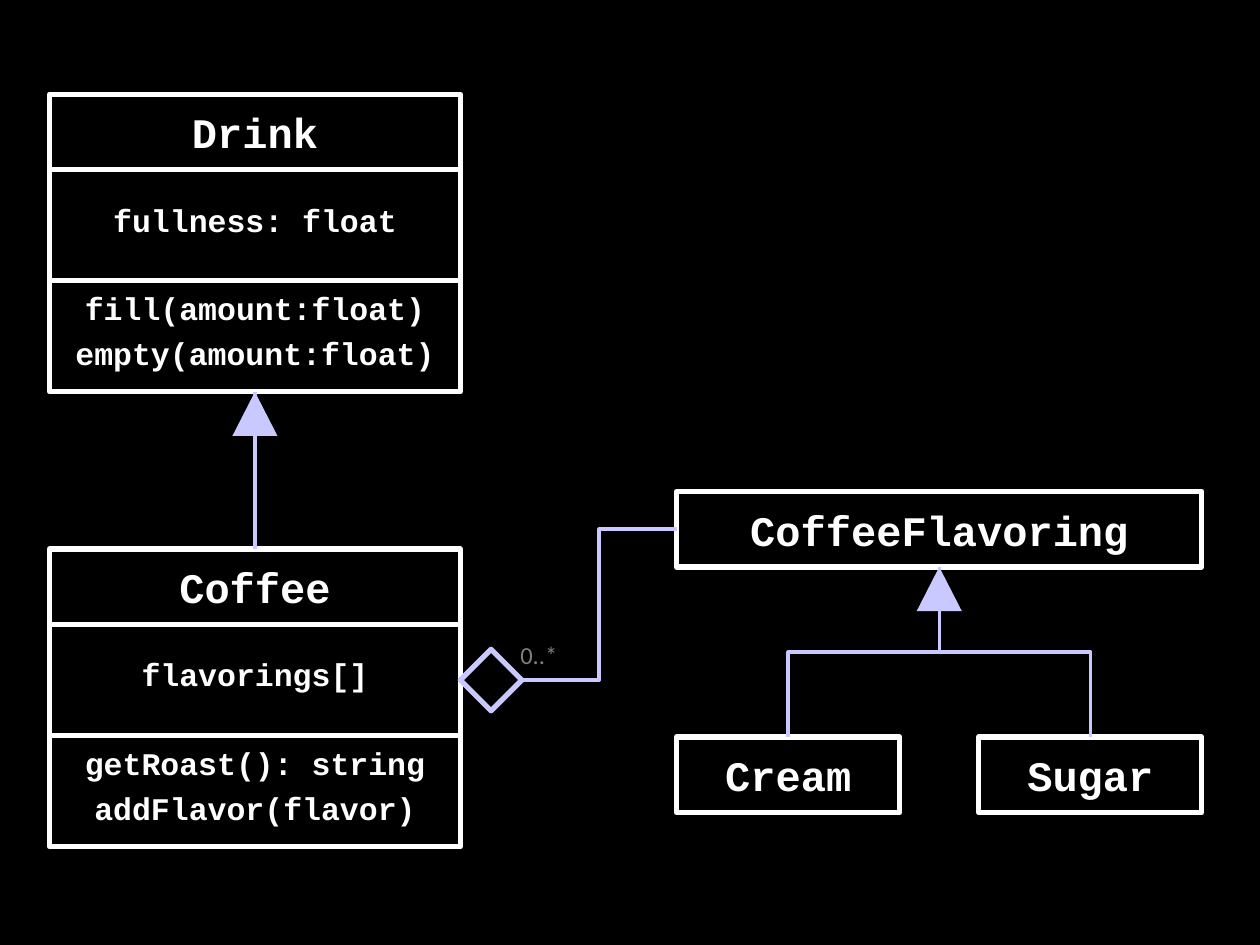
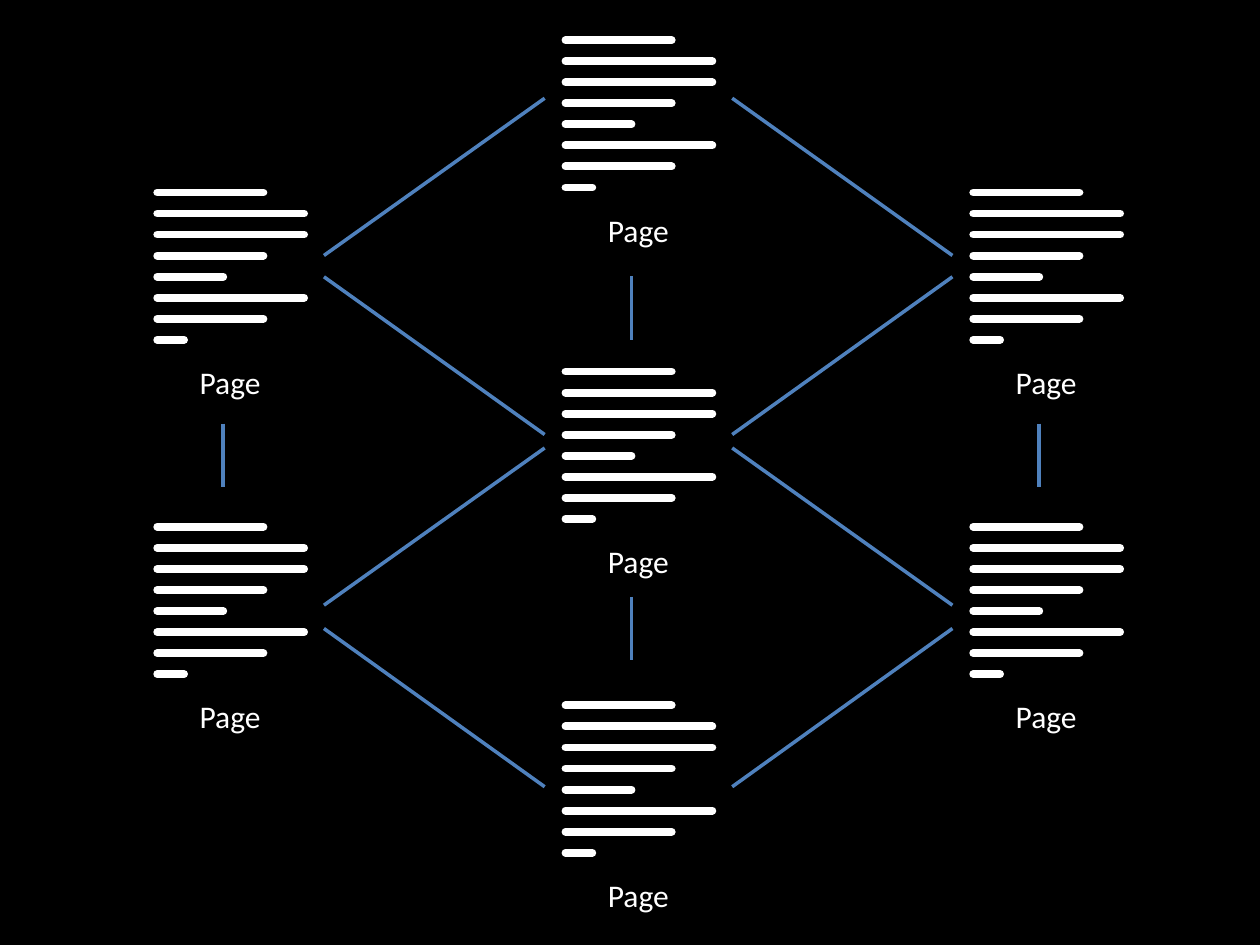
from lxml.etree import SubElement
from pptx import Presentation
from pptx.dml.color import RGBColor
from pptx.enum.shapes import MSO_CONNECTOR as Link, MSO_SHAPE as Shape
from pptx.enum.text import MSO_ANCHOR as Anchor, PP_ALIGN as Align
from pptx.oxml.ns import qn
from pptx.util import Cm, Pt

BLACK, WHITE, GREY, LILAC, BLUE = "000000", "FFFFFF", "808080", "CAC9FF", "4F81BD"
CODE_FONT, LABEL_FONT = "Courier New", "Calibri"

NAME_HEIGHT, MEMBER_HEIGHT = 1.52, 2.24
CLASSES = {
    "Drink": (1, 1.9, 8.28, [["fullness: float"],
                             ["fill(amount:float)", "empty(amount:float)"]]),
    "Coffee": (1, 11.07, 8.28, [["flavorings[]"],
                                ["getRoast(): string", "addFlavor(flavor)"]]),
    "CoffeeFlavoring": (13.64, 9.91, 10.59, []),
    "Cream": (13.64, 14.86, 4.5, []),
    "Sugar": (19.73, 14.86, 4.5, []),
}
ARROW_WIDTH, ARROW_HEIGHT, DIAMOND_SIZE = 0.91, 0.89, 1.24
MULTIPLICITY = ("0..*", (10.24, 12.78, 1.88, 0.86))

COLUMNS = [(3.17, [3.88, 10.62]), (11.4, [0.81, 7.49, 14.22]), (19.62, [3.88, 10.62])]
TEXT_LINES = [2.14, 2.96, 2.96, 2.14, 1.33, 2.96, 2.14, 0.54]
TEXT_HEIGHT = 2.97
CAPTION, CAPTION_SHIFT, CAPTION_DROP = "Page", 0.42, 3.31
CAPTION_WIDTH, CAPTION_HEIGHT = 3.78, 1.02
SIDE_LINKS = [(5.15, 1.98), (5.58, 8.76), (12.2, 9.03), (12.67, 15.86)]
DOWN_LINKS = [[8.54], [5.57, 12.03], [8.54]]
DOWN_SHIFT, DOWN_LENGTH = 1.33, 1.28


def color(value):
    """Turn a hex string into a colour."""
    return RGBColor.from_string(value)


def write(frame, lines, font, size, tint, align=Align.CENTER, bold=None, spacing=None):
    """Put one paragraph per line into a text frame."""
    frame.word_wrap = True
    for index, line in enumerate(lines):
        para = frame.add_paragraph() if index else frame.paragraphs[0]
        para.text, para.alignment, para.line_spacing = line, align, spacing
        if index:
            para.space_before = Pt(13)
        para.font.name, para.font.size, para.font.bold = font, Pt(size), bold
        para.font.color.rgb = color(tint)


def add_shape(page, kind, place, fill, line=None):
    """Add a flat preset shape, outlined when a line colour is given."""
    shape = page.shapes.add_shape(kind, *map(Cm, place))
    shape.shadow.inherit = False
    shape.fill.solid()
    shape.fill.fore_color.rgb = color(fill)
    if line:
        shape.line.color.rgb, shape.line.width = color(line), Pt(3)
    else:
        shape.line.fill.background()
    return shape


def add_line(page, start, end, tint, width=2, kind=Link.STRAIGHT):
    """Add a connector without shadow."""
    line = page.shapes.add_connector(kind, *map(Cm, (*start, *end)))
    line.line.color.rgb, line.line.width = color(tint), Pt(width)
    SubElement(line._element.spPr, qn("a:effectLst"))
    return line


def add_label(page, text, place, size, tint, align):
    """Add a text box with one line."""
    box = page.shapes.add_textbox(*map(Cm, place))
    write(box.text_frame, [text], LABEL_FONT, size, tint, align)


def add_class(page, name):
    """Stack the compartments of a class and return their boxes."""
    left, top, width, members = CLASSES[name]
    boxes = []
    for lines in [[name], *members]:
        size, height, spacing = (18, MEMBER_HEIGHT, 0.6) if boxes else (24, NAME_HEIGHT, None)
        box = add_shape(page, Shape.RECTANGLE, (left, top, width, height), BLACK, WHITE)
        box.text_frame.vertical_anchor = Anchor.MIDDLE
        write(box.text_frame, lines, CODE_FONT, size, WHITE, bold=True, spacing=spacing)
        boxes.append(box)
        top += height
    return boxes


def bottom_center(name):
    """Return the middle of the lower edge of a class."""
    left, top, width, members = CLASSES[name]
    return left + width / 2, top + NAME_HEIGHT + MEMBER_HEIGHT * len(members)


def add_arrow(page, name):
    """Add the inheritance triangle under a parent class."""
    x, y = bottom_center(name)
    add_shape(page, Shape.ISOSCELES_TRIANGLE,
              (x - ARROW_WIDTH / 2, y, ARROW_WIDTH, ARROW_HEIGHT), LILAC)


def add_rising_elbow(page, child, parent):
    """Bend a connector from the top of a child up to its parent."""
    left, child_top, width, _ = CLASSES[child]
    parent_x, parent_y = bottom_center(parent)
    run, rise = parent_x - left - width / 2, child_top - parent_y
    x, y = parent_x - run / 2, parent_y + rise / 2
    elbow = add_line(page, (x - rise / 2, y - run / 2), (x + rise / 2, y + run / 2),
                     LILAC, kind=Link.ELBOW)
    elbow._element.spPr.find(qn("a:xfrm")).set("rot", str(270 * 60000))


def build_class_diagram(page):
    """Draw the drink classes and their relations."""
    boxes = {name: add_class(page, name) for name in CLASSES}

    left, coffee_top, width, _ = CLASSES["Coffee"]
    inherits = add_line(page, (left + width / 2, coffee_top), bottom_center("Drink"), LILAC)
    inherits.begin_connect(boxes["Coffee"][0], 0)
    inherits.end_connect(boxes["Drink"][-1], 2)
    for child in ("Cream", "Sugar"):
        add_rising_elbow(page, child, "CoffeeFlavoring")
    for parent in ("Drink", "CoffeeFlavoring"):
        add_arrow(page, parent)

    add_label(page, *MULTIPLICITY, 14, GREY, Align.LEFT)
    diamond_x, middle = left + width, coffee_top + NAME_HEIGHT + MEMBER_HEIGHT / 2
    diamond = add_shape(page, Shape.DIAMOND, (diamond_x, middle - DIAMOND_SIZE / 2,
                                              DIAMOND_SIZE, DIAMOND_SIZE), BLACK, LILAC)
    flavor_x, flavor_top = CLASSES["CoffeeFlavoring"][:2]
    contains = add_line(page, (flavor_x, flavor_top + NAME_HEIGHT / 2),
                        (diamond_x + DIAMOND_SIZE, middle), LILAC, kind=Link.ELBOW)
    contains.begin_connect(boxes["CoffeeFlavoring"][0], 1)
    contains.end_connect(diamond, 3)


def add_document(page, left, top):
    """Draw a page of text lines with its caption."""
    add_label(page, CAPTION, (left - CAPTION_SHIFT, top + CAPTION_DROP,
                              CAPTION_WIDTH, CAPTION_HEIGHT), 18, WHITE, Align.CENTER)
    for index, length in enumerate(TEXT_LINES):
        y = top + index * TEXT_HEIGHT / (len(TEXT_LINES) - 1)
        line = add_line(page, (left, y), (left + length, y), WHITE, 4.5)
        line.line._get_or_add_ln().set("cap", "rnd")


def build_page_network(page):
    """Draw the linked pages in three columns."""
    for (left, tops), starts in zip(COLUMNS, DOWN_LINKS):
        for top in tops:
            add_document(page, left, top)
        x = left + DOWN_SHIFT
        for y in starts:
            add_line(page, (x, y), (x, y + DOWN_LENGTH), BLUE)

    edges = [left - CAPTION_SHIFT for left, _ in COLUMNS]
    spans = [(edges[0] + CAPTION_WIDTH, edges[1]), (edges[2], edges[1] + CAPTION_WIDTH)]
    for outer_y, inner_y in SIDE_LINKS:
        for outer_x, inner_x in spans:
            add_line(page, (outer_x, outer_y), (inner_x, inner_y), BLUE)


def main():
    """Build and save the deck."""
    deck = Presentation()
    deck.slide_width, deck.slide_height = Cm(25.4), Cm(19.05)
    background = deck.slide_master.background.fill
    background.solid()
    background.fore_color.rgb = color(BLACK)
    for build in (build_class_diagram, build_page_network):
        build(deck.slides.add_slide(deck.slide_layouts[6]))
    deck.save("out.pptx")


if __name__ == "__main__":
    main()
